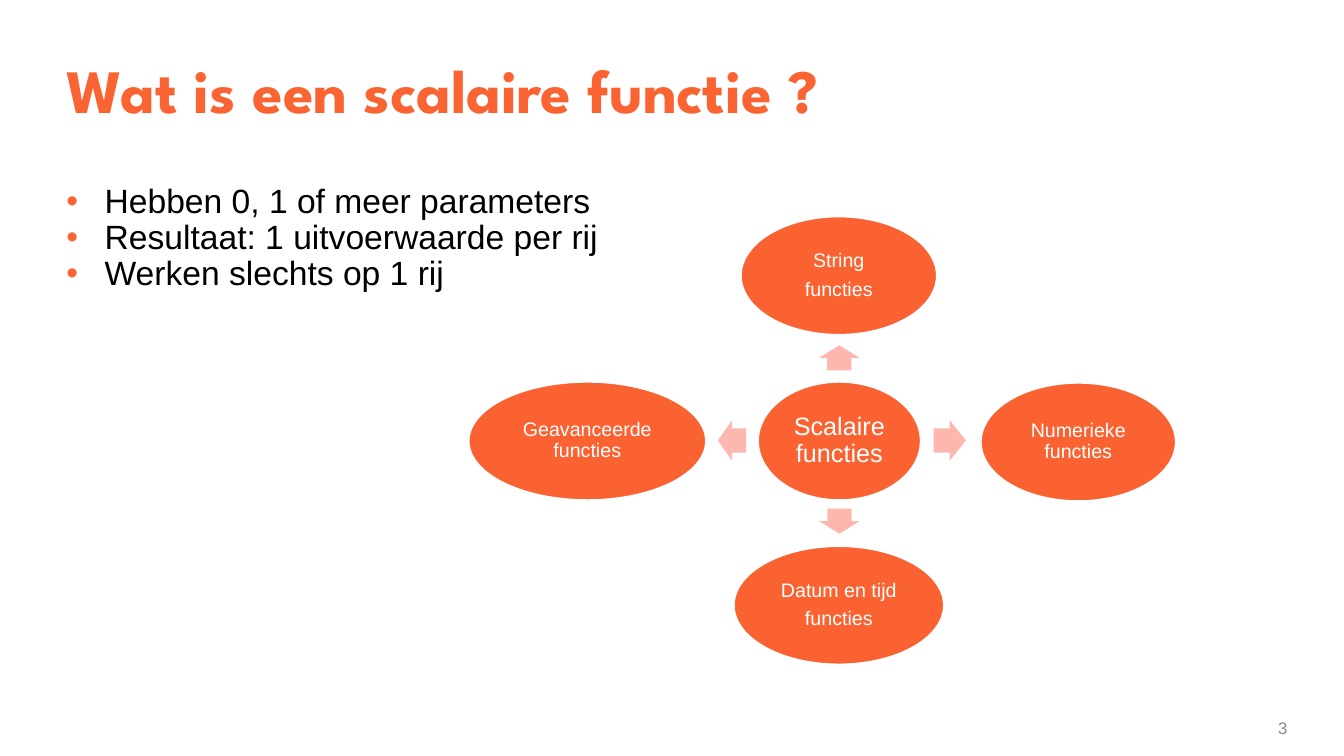
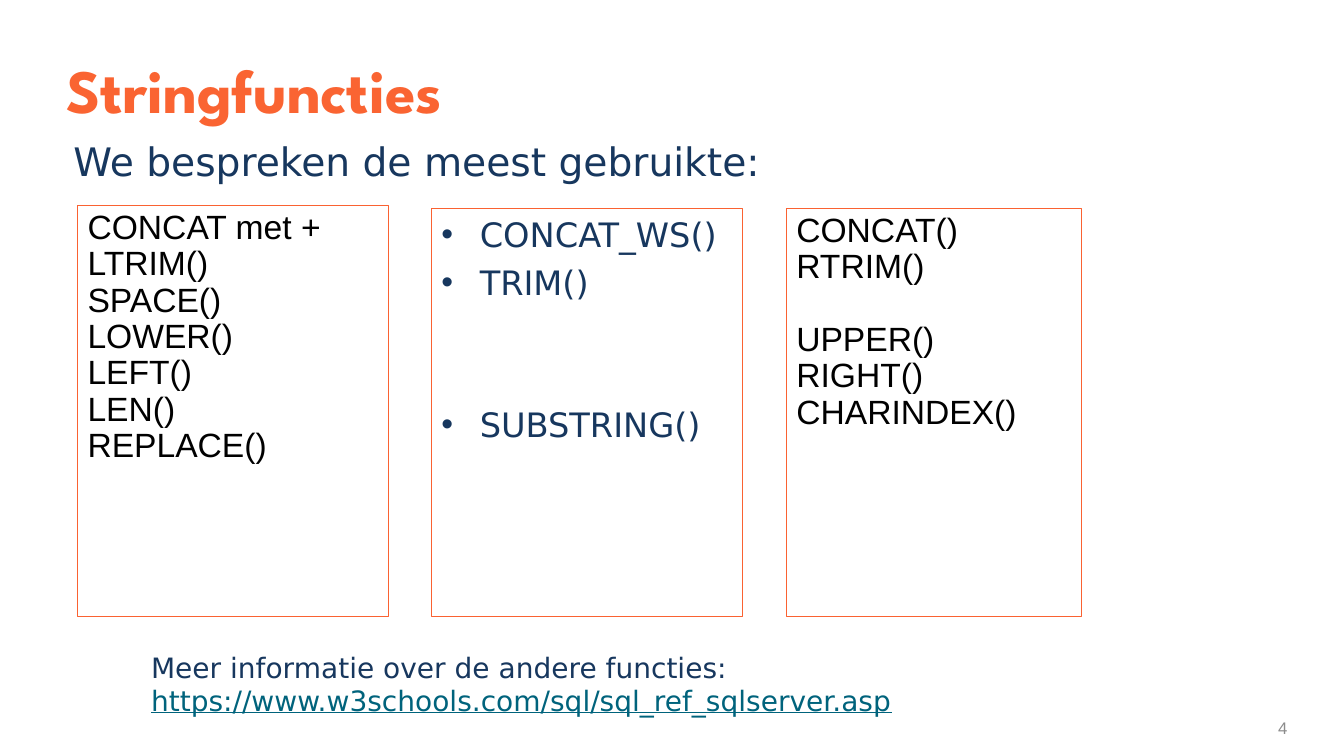
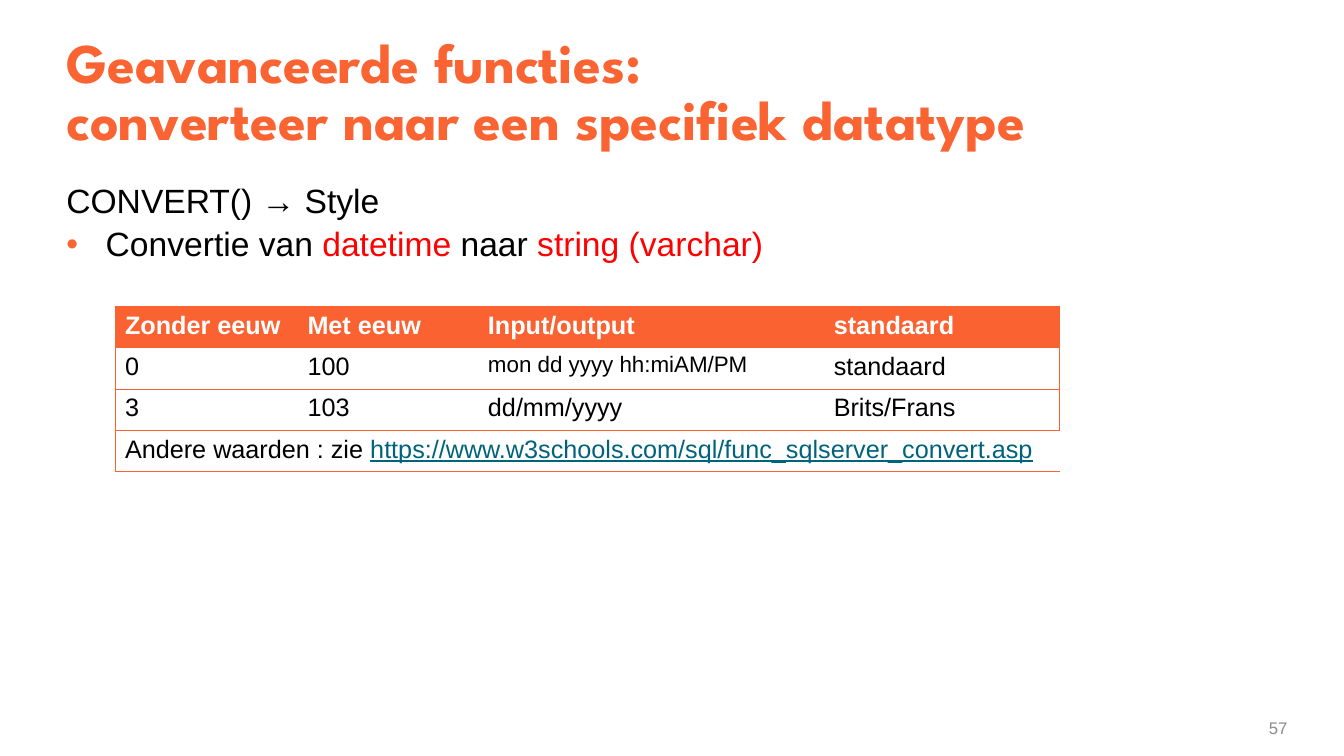
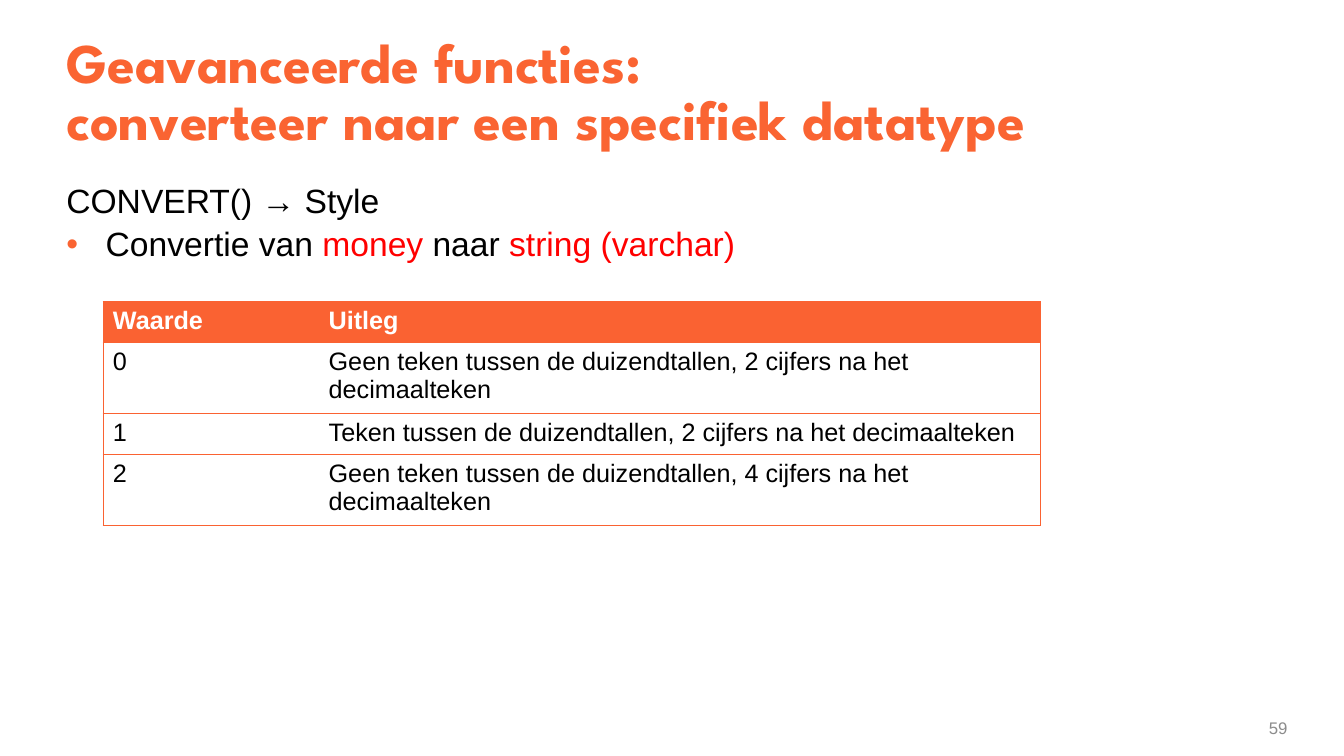
from dataclasses import dataclass

import lxml.etree
import pptx
import pptx.dml.color
import pptx.enum.shapes
import pptx.enum.text
import pptx.oxml.ns
import pptx.util

PX = 9144  # EMU; 100 px to the inch
MSO_SHAPE = pptx.enum.shapes.MSO_SHAPE
ALIGN = pptx.enum.text.PP_ALIGN
ANCHOR = pptx.enum.text.MSO_ANCHOR
Pt = pptx.util.Pt
qn = pptx.oxml.ns.qn
NO_TABLE_STYLE = "{2D5ABB26-0587-4C30-8999-92F81FD0307C}"


@dataclass(frozen=True)
class Theme:
    title_color: str = "FA6432"
    accent: str = "FA6232"
    arrow: str = "FCB7AE"
    text: str = "000000"
    navy: str = "17375E"
    link: str = "00637C"
    red: str = "FF0000"
    gray: str = "8C8C8C"
    white: str = "FFFFFF"
    title_font: str = "League Spartan"
    body_font: str = "Arial"
    alt_font: str = "DejaVu Sans"
    title_size: int = 44
    long_title_size: int = 40
    lead_size: int = 28
    body_size: int = 24
    note_size: int = 20
    label_size: int = 18
    small_size: int = 16
    node_size: int = 14
    number_size: int = 12


T = Theme()
TITLE_BOX = (56, 33, 1220, 122)
BODY_BOX = (56, 178, 1220, 516)
NUMBER_BOX = (1210, 707, 67, 30)


def emu(*lengths):
    return [pptx.util.Emu(n * PX) for n in lengths]


def rgb(color):
    return pptx.dml.color.RGBColor.from_string(color)


def style_run(r, size, color, font=T.body_font, bold=False):
    r.font.size = Pt(size)
    r.font.name = font
    r.font.bold = bold
    r.font.color.rgb = rgb(color)
    r.font.underline = True if color == T.link else None


def add_bullet(p, indent, color):
    pPr = p._p.get_or_add_pPr()
    pPr.set("marL", str(indent * PX))
    pPr.set("indent", str(-indent * PX))
    clr = lxml.etree.SubElement(pPr, qn("a:buClr"))
    lxml.etree.SubElement(clr, qn("a:srgbClr"), val=color)
    lxml.etree.SubElement(pPr, qn("a:buFont"), typeface=T.body_font)
    lxml.etree.SubElement(pPr, qn("a:buChar"), char="•")


def write(p, content, size, color, font=T.body_font, bold=False):
    """Content is a string or a list of (text, color) parts."""
    if isinstance(content, str):
        p.text = content
        for r in p.runs:
            style_run(r, size, color, font, bold)
        return
    for text, part_color in content:
        r = p.add_run()
        r.text = text
        style_run(r, size, part_color, font, bold)


def fill_frame(tf, lines, size, color, font=T.body_font, bold=False, spacing=None,
               align=None, anchor=ANCHOR.TOP, margins=(10, 5, 10, 5),
               bullet=None, before=0, after=0):
    """Bullet is (indent, color); spaces are in points."""
    tf.word_wrap = True
    tf.vertical_anchor = anchor
    tf.margin_left, tf.margin_top, tf.margin_right, tf.margin_bottom = emu(*margins)
    for i, line in enumerate(lines):
        p = tf.add_paragraph() if i else tf.paragraphs[0]
        if bullet:
            add_bullet(p, *bullet)
        write(p, line, size, color, font, bold)
        p.alignment = align
        p.line_spacing = spacing
        if i and before:
            p.space_before = Pt(before)
        if after:
            p.space_after = Pt(after)
    return tf


def add_text(s, box, lines, size, color, **options):
    sp = s.shapes.add_textbox(*emu(*box))
    return fill_frame(sp.text_frame, lines, size, color, **options)


def add_preset(s, kind, box, fill=None, line=None, width=1):
    sp = s.shapes.add_shape(kind, *emu(*box))
    sp.shadow.inherit = False
    if fill:
        sp.fill.solid()
        sp.fill.fore_color.rgb = rgb(fill)
    else:
        sp.fill.background()
    if line:
        sp.line.color.rgb = rgb(line)
        sp.line.width = Pt(width)
    else:
        sp.line.fill.background()
    return sp


def new_slide(prs, title, number, size=T.title_size):
    s = prs.slides.add_slide(prs.slide_layouts[6])
    add_text(s, TITLE_BOX, [title], size, T.title_color, font=T.title_font,
             bold=True, spacing=0.85, anchor=ANCHOR.MIDDLE)
    add_text(s, NUMBER_BOX, [str(number)], T.number_size, T.gray, align=ALIGN.RIGHT,
             anchor=ANCHOR.MIDDLE, margins=(10, 5, 0, 5))
    return s


def add_node(s, center, width, lines, size=T.node_size, margin=2):
    height = 117
    x, y = center
    sp = add_preset(s, MSO_SHAPE.OVAL, (x - width // 2, y - height // 2, width, height),
                    T.accent, T.white)
    fill_frame(sp.text_frame, lines, size, T.white, spacing=0.9, align=ALIGN.CENTER,
               anchor=ANCHOR.MIDDLE, margins=(margin,) * 4, after=0.35 * size)


def add_arrow(s, center, length, angle):
    breadth = 40
    x, y = center
    sp = add_preset(s, MSO_SHAPE.RIGHT_ARROW,
                    (x - length // 2, y - breadth // 2, length, breadth), T.arrow)
    sp.adjustments[0] = 0.6
    sp.adjustments[1] = 0.5
    sp.rotation = angle


def add_radial_diagram(s, center):
    """A hub with four nodes; offsets are measured from the hub's centre."""
    x, y = center
    add_node(s, center, 161, ["Scalaire functies"], T.label_size, 3)
    spokes = [
        ((0, -164), 194, ["String", "functies"], (0, -82), 25, 270),
        ((237, 1), 193, ["Numerieke functies"], (110, 0), 32, 0),
        ((0, 163), 208, ["Datum en tijd", "functies"], (0, 80), 25, 90),
        ((-250, 0), 235, ["Geavanceerde functies"], (-106, 0), 28, 180),
    ]
    for (dx, dy), width, lines, (ax, ay), length, angle in spokes:
        add_arrow(s, (x + ax, y + ay), length, angle)
        add_node(s, (x + dx, y + dy), width, lines)


def add_function_list(s, box, names, gaps=None, **options):
    """Gaps maps a name to the points left open above it."""
    sp = add_preset(s, MSO_SHAPE.RECTANGLE, box, line=T.accent, width=0.75)
    tf = fill_frame(sp.text_frame, names, T.body_size, align=ALIGN.LEFT, **options)
    for p in tf.paragraphs:
        if gaps and p.text in gaps:
            p.space_before = Pt(gaps[p.text])


def set_borders(cell, sides):
    tcPr = cell._tc.get_or_add_tcPr()
    for i, side in enumerate(s for s in "LRTB" if s in sides):
        ln = lxml.etree.Element(qn("a:ln" + side), w=str(Pt(0.5)))
        fill = lxml.etree.SubElement(ln, qn("a:solidFill"))
        lxml.etree.SubElement(fill, qn("a:srgbClr"), val=T.accent)
        tcPr.insert(i, ln)


def add_ruled_table(s, origin, widths, heights, rows):
    """Orange header, horizontal rules and a frame; a one-item row spans all columns."""
    box = (*origin, sum(widths), sum(heights))
    table = s.shapes.add_table(len(rows), len(widths), *emu(*box)).table
    table.first_row = table.horz_banding = False
    table._tbl.tblPr.find(qn("a:tableStyleId")).text = NO_TABLE_STYLE
    for column, width in zip(table.columns, emu(*widths)):
        column.width = width
    last = len(widths) - 1
    for i, (row, height) in enumerate(zip(rows, emu(*heights))):
        table.rows[i].height = height
        if len(row) == 1:
            table.cell(i, 0).merge(table.cell(i, last))
        for j in range(last + 1):
            cell = table.cell(i, j)
            cell.fill.solid()
            cell.fill.fore_color.rgb = rgb(T.white if i else T.accent)
            set_borders(cell, "TB" + "L" * (j == 0) + "R" * (j == last))
            if j < len(row):
                write(cell.text_frame.paragraphs[0], row[j], T.label_size,
                      T.text if i else T.white, bold=i == 0)
    return table


def convert_slide(prs, number, source_type):
    s = new_slide(prs, "Geavanceerde functies:\vconverteer naar een specifiek datatype",
                  number, T.long_title_size)
    conversion = [("Convertie van ", T.text), (source_type, T.red),
                  (" naar ", T.text), ("string (varchar)", T.red)]
    tf = add_text(s, BODY_BOX, ["CONVERT() → Style", conversion], T.body_size, T.text,
                  spacing=0.9)
    p = tf.paragraphs[1]
    add_bullet(p, 39, T.title_color)
    p.space_before = p.space_after = Pt(5)
    return s


def scalar_slide(prs):
    s = new_slide(prs, "Wat is een scalaire functie ?", 3)
    add_text(s, BODY_BOX,
             ["Hebben 0, 1 of meer parameters", "Resultaat: 1 uitvoerwaarde per rij",
              "Werken slechts op 1 rij"],
             T.body_size, T.text, spacing=0.9, bullet=(38, T.title_color))
    add_radial_diagram(s, (832, 437))


def string_slide(prs):
    s = new_slide(prs, "Stringfuncties", 4)
    plain = dict(color=T.text, spacing=0.9)
    add_function_list(s, (77, 204, 308, 408),
                      ["CONCAT met +", "LTRIM()", "SPACE()", "LOWER()", "LEFT()",
                       "LEN()", "REPLACE()"], **plain)
    add_function_list(s, (780, 207, 293, 405),
                      ["CONCAT()", "RTRIM()", "UPPER()", "RIGHT()", "CHARINDEX()"],
                      gaps={"UPPER()": 26}, **plain)
    add_function_list(s, (428, 207, 308, 405), ["CONCAT_WS()", "TRIM()", "SUBSTRING()"],
                      gaps={"SUBSTRING()": 72.8}, color=T.navy, font=T.alt_font,
                      bullet=(38, T.navy), before=5.6)
    add_text(s, (63, 131, 1000, 76), ["We bespreken de meest gebruikte:"],
             T.lead_size, T.navy, font=T.alt_font)
    add_text(s, (140, 640, 1000, 76),
             [[("Meer informatie over de andere functies: ", T.navy),
               ("https://www.w3schools.com/sql/sql_ref_sqlserver.asp", T.link)]],
             T.note_size, T.navy, font=T.alt_font)


def datetime_slide(prs):
    s = convert_slide(prs, 57, "datetime")
    source = [("Andere waarden : zie ", T.text),
              ("https://www.w3schools.com/sql/func_sqlserver_convert.asp", T.link)]
    table = add_ruled_table(s, (114, 304), (181, 179, 343, 234), (41,) * 4, [
        ("Zonder eeuw", "Met eeuw", "Input/output", "standaard"),
        ("0", "100", "mon dd yyyy hh:miAM/PM", "standaard"),
        ("3", "103", "dd/mm/yyyy", "Brits/Frans"),
        (source,),
    ])
    table.cell(1, 2).text_frame.paragraphs[0].runs[0].font.size = Pt(T.small_size)


def money_slide(prs):
    s = convert_slide(prs, 59, "money")
    add_ruled_table(s, (102, 299), (214, 716), (41, 66, 41, 66), [
        ("Waarde", "Uitleg"),
        ("0", "Geen teken tussen de duizendtallen, 2 cijfers na het decimaalteken"),
        ("1", "Teken tussen de duizendtallen, 2 cijfers na het decimaalteken"),
        ("2", "Geen teken tussen de duizendtallen, 4 cijfers na het decimaalteken"),
    ])


def main():
    prs = pptx.Presentation()
    prs.slide_width, prs.slide_height = emu(1333, 750)
    for build in (scalar_slide, string_slide, datetime_slide, money_slide):
        build(prs)
    prs.save("out.pptx")


if __name__ == "__main__":
    main()
